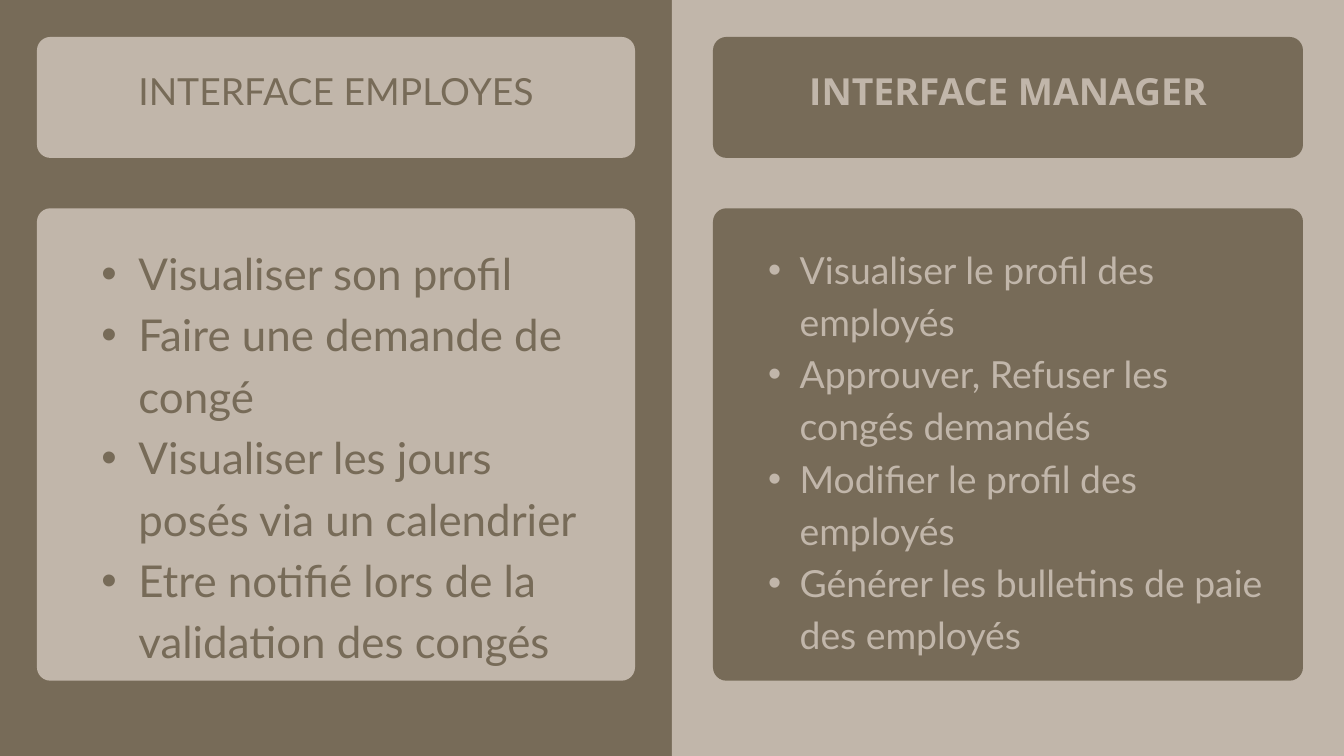
import lxml.etree
import pptx
import pptx.dml.color
import pptx.enum.shapes
import pptx.enum.text
import pptx.oxml.ns
import pptx.util

Inches = pptx.util.Inches
Pt = pptx.util.Pt
SHAPES = pptx.enum.shapes.MSO_SHAPE
ALIGN = pptx.enum.text.PP_ALIGN
ANCHOR = pptx.enum.text.MSO_ANCHOR

COLOURS = {"brown": "776B58", "sand": "C1B6AA"}
LINE_RATIO = 1.4
CORNER = 0.2

COLUMNS = [
    {
        "back": "brown", "front": "sand", "left": 0, "card": (0.55, 8.9),
        "title": "INTERFACE EMPLOYES",
        "title_format": {"name": "Lato", "size": Pt(40), "bold": False},
        "list_box": (0.96, 3.54, 8.07, 6.33), "size": 47, "indent": 0.55,
        "items": [
            "Visualiser son profil",
            "Faire une demande de congé",
            "Visualiser les jours posés via un calendrier",
            "Etre notifié lors de la validation des congés",
        ],
    },
    {
        "back": "sand", "front": "brown", "left": 10, "card": (10.61, 8.78),
        "title": "INTERFACE MANAGER",
        "title_format": {"name": "Open Sans", "size": Pt(40), "bold": True},
        "list_box": (10.96, 3.56, 8.07, 6.22), "size": 40, "indent": 0.47,
        "items": [
            "Visualiser le profil des employés",
            "Approuver, Refuser les congés demandés",
            "Modifier le profil des employés",
            "Générer les bulletins de paie des employés",
        ],
    },
]


class SlideBuilder:
    def __init__(self, slide):
        self.slide = slide

    def colour(self, name):
        return pptx.dml.color.RGBColor.from_string(COLOURS[name])

    def panel(self, box, colour, kind=SHAPES.RECTANGLE):
        shape = self.slide.shapes.add_shape(kind, *map(Inches, box))
        shape.shadow.inherit = False
        shape.fill.solid()
        shape.fill.fore_color.rgb = self.colour(colour)
        shape.line.fill.background()
        return shape

    def card(self, box, colour):
        shape = self.panel(box, colour, SHAPES.ROUNDED_RECTANGLE)
        shape.adjustments[0] = CORNER / min(box[2:])

    def text_frame(self, box, margin, anchor):
        frame = self.slide.shapes.add_textbox(*map(Inches, box)).text_frame
        frame.word_wrap = True
        frame.vertical_anchor = anchor
        for side in ("left", "top", "right", "bottom"):
            setattr(frame, f"margin_{side}", Inches(margin))
        return frame

    def styled_run(self, paragraph, text, colour, font_format):
        paragraph.line_spacing = Pt(font_format["size"].pt * LINE_RATIO)
        run = paragraph.add_run()
        run.text = text
        for name, value in font_format.items():
            setattr(run.font, name, value)
        run.font.color.rgb = self.colour(colour)

    def title(self, box, text, colour, font_format):
        paragraph = self.text_frame(box, 0.06, ANCHOR.MIDDLE).paragraphs[0]
        paragraph.alignment = ALIGN.CENTER
        self.styled_run(paragraph, text, colour, font_format)

    def bullet_list(self, box, items, colour, size, indent):
        frame = self.text_frame(box, 0, ANCHOR.TOP)
        for index, item in enumerate(items):
            paragraph = frame.add_paragraph() if index else frame.paragraphs[0]
            paragraph.level = 1
            paragraph.alignment = ALIGN.LEFT
            properties = paragraph._p.get_or_add_pPr()
            properties.set("marL", str(Inches(2 * indent)))
            properties.set("indent", str(-Inches(indent)))
            for tag, key, value in (("a:buFont", "typeface", "Arial"), ("a:buChar", "char", "•")):
                lxml.etree.SubElement(properties, pptx.oxml.ns.qn(tag)).set(key, value)
            self.styled_run(paragraph, item, colour, {"name": "Lato", "size": Pt(size)})


def main():
    presentation = pptx.Presentation()
    presentation.slide_width = Inches(20)
    presentation.slide_height = Inches(11.25)
    builder = SlideBuilder(presentation.slides.add_slide(presentation.slide_layouts[6]))

    for column in COLUMNS:
        left, width = column["card"]
        builder.panel((column["left"], 0, 10, 11.25), column["back"])
        builder.card((left, 0.55, width, 1.8), column["front"])
        builder.title((left, 0.23, width, 2.12), column["title"], column["back"], column["title_format"])
        builder.card((left, 3.1, width, 7.03), column["front"])
        builder.bullet_list(
            column["list_box"], column["items"], column["back"], column["size"], column["indent"]
        )

    presentation.save("out.pptx")


if __name__ == "__main__":
    main()
